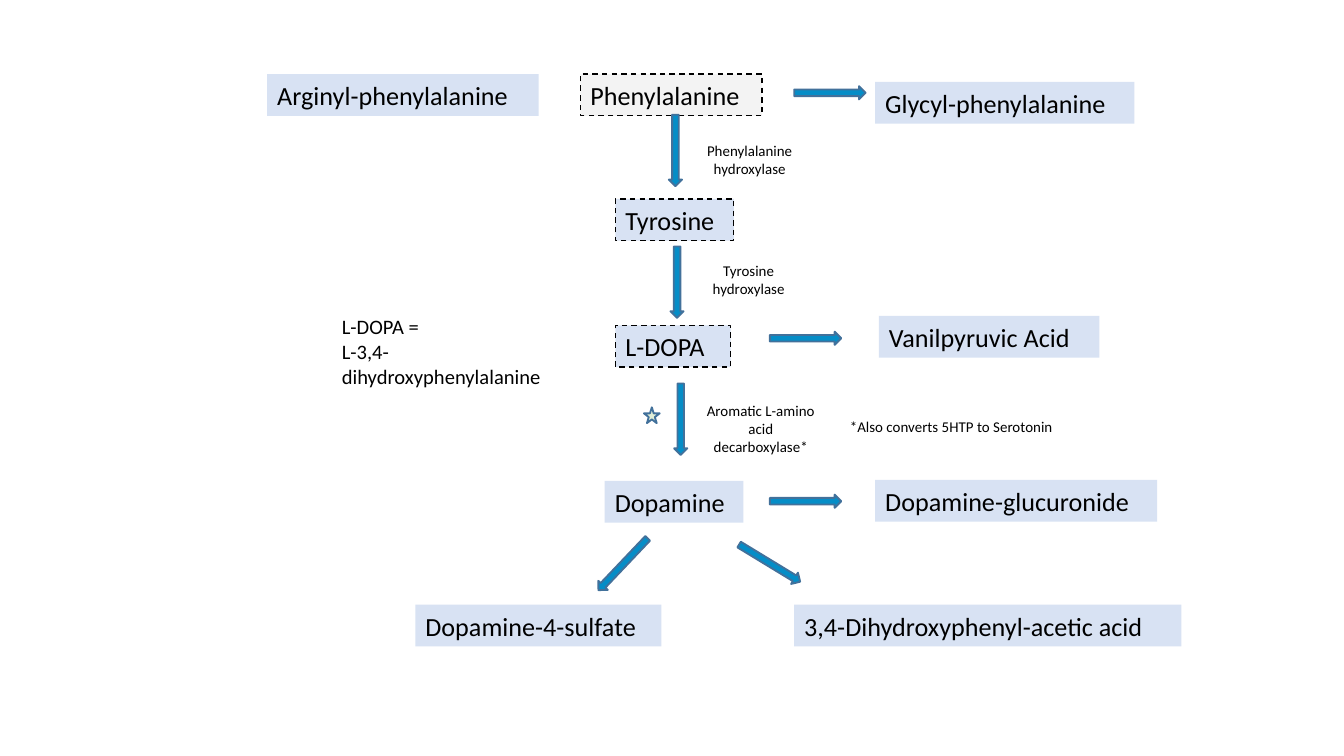
from pptx import Presentation
from pptx.dml.color import RGBColor
from pptx.enum.dml import MSO_LINE
from pptx.enum.shapes import MSO_SHAPE
from pptx.enum.text import MSO_ANCHOR, PP_ALIGN
from pptx.util import Cm, Pt

RECTANGLE = MSO_SHAPE.RECTANGLE
RIGHT_ARROW = MSO_SHAPE.RIGHT_ARROW
STAR = MSO_SHAPE.STAR_5_POINT
DASH = MSO_LINE.DASH
LEFT = PP_ALIGN.LEFT
CENTER = PP_ALIGN.CENTER
TOP = MSO_ANCHOR.TOP

BLACK = RGBColor(0x00, 0x00, 0x00)
PALE_GREY = RGBColor(0xF3, 0xF3, 0xF3)
PALE_BLUE = RGBColor(0xD8, 0xE2, 0xF3)
PALE_GREEN = RGBColor(0xE1, 0xEF, 0xD8)
ARROW_BLUE = RGBColor(0x05, 0x8D, 0xC7)
OUTLINE_BLUE = RGBColor(0x42, 0x71, 0x9B)

FONT = "Calibri"
METABOLITE_HEIGHT = 0.79
ARROW_LENGTH, ARROW_HEIGHT = 1.35, 0.25
STAR_SIZE = 0.3


def offset(box, left, top):
    """Return the point that lies at the given distance from the box's corner."""
    return box[0] + left, box[1] + top


def write(shape, lines, size, align):
    """Write the lines into a shape, one paragraph each."""
    frame = shape.text_frame
    frame.word_wrap = True
    frame.vertical_anchor = TOP
    frame.margin_left = frame.margin_right = Cm(0.19)
    frame.margin_top = frame.margin_bottom = Cm(0.1)
    for index, line in enumerate(lines):
        para = frame.add_paragraph() if index else frame.paragraphs[0]
        para.alignment = align
        span = para.add_run()
        span.text = line
        span.font.name = FONT
        span.font.size = Pt(size)
        span.font.color.rgb = BLACK


def add_filled(page, kind, point, width, height, fill):
    """Add a flat preset shape with a solid fill."""
    left, top = point
    shape = page.shapes.add_shape(kind, Cm(left), Cm(top), Cm(width), Cm(height))
    shape.shadow.inherit = False
    shape.fill.solid()
    shape.fill.fore_color.rgb = fill
    return shape


def add_outlined(page, kind, point, width, height, fill):
    """Add a filled shape with the thin blue outline."""
    shape = add_filled(page, kind, point, width, height, fill)
    shape.line.color.rgb = OUTLINE_BLUE
    shape.line.width = Pt(1)
    return shape


def add_metabolite(page, point, width, name, fill=PALE_BLUE, dashed=False):
    """Add the named box of one metabolite."""
    shape = add_filled(page, RECTANGLE, point, width, METABOLITE_HEIGHT, fill)
    if dashed:
        shape.line.color.rgb = BLACK
        shape.line.width = Pt(0.75)
        shape.line.dash_style = DASH
    else:
        shape.line.fill.background()
    write(shape, [name], 14, LEFT)


def add_arrow(page, point, rotation=0):
    """Add a reaction arrow, turned clockwise about its centre."""
    arrow = add_outlined(page, RIGHT_ARROW, point, ARROW_LENGTH, ARROW_HEIGHT, ARROW_BLUE)
    arrow.rotation = rotation


def add_label(page, point, width, height, lines, size=8, align=CENTER):
    """Add a plain text label."""
    left, top = point
    label = page.shapes.add_textbox(Cm(left), Cm(top), Cm(width), Cm(height))
    write(label, lines, size, align)


def add_pathway(page, box):
    """Add the central chain with its enzymes."""
    metabolites = [
        (0, 0, 3.43, "Phenylalanine", PALE_GREY, True),
        (0.66, 2.36, 2.24, "Tyrosine", PALE_BLUE, True),
        (0.66, 4.75, 2.18, "L-DOPA", PALE_BLUE, True),
        (0.46, 7.69, 2.62, "Dopamine", PALE_BLUE, False),
    ]
    for left, top, *details in metabolites:
        add_metabolite(page, offset(box, left, top), *details)
    for left, top in [(1.12, 1.32), (1.15, 3.81), (1.22, 6.4)]:
        add_arrow(page, offset(box, left, top), 90)
    add_outlined(page, STAR, offset(box, 1.2, 6.3), STAR_SIZE, STAR_SIZE, PALE_GREEN)
    enzymes = [
        (1.93, 1.17, 0.89, "Phenylalanine hydroxylase"),
        (1.91, 3.45, 0.89, "Tyrosine hydroxylase"),
        (2.14, 6.09, 1.22, "Aromatic L-amino acid decarboxylase*"),
    ]
    for left, top, height, name in enzymes:
        add_label(page, offset(box, left, top), 2.54, height, [name])


def add_branches(page, box):
    """Add the products to the right of the chain, each with its arrow."""
    branches = [
        ((0.46, 0.23), (1.99, 0.15), 4.9, "Glycyl-phenylalanine"),
        ((0, 4.87), (2.06, 4.57), 4.17, "Vanilpyruvic Acid"),
        ((0, 7.95), (1.99, 7.67), 5.33, "Dopamine-glucuronide"),
    ]
    for arrow, product, width, name in branches:
        add_arrow(page, offset(box, *arrow))
        add_metabolite(page, offset(box, *product), width, name)


def add_end_products(page, box):
    """Add the two products below dopamine, each with its slanted arrow."""
    products = [
        ((3.25, 0.02), 133.5, 0, 4.65, "Dopamine-4-sulfate"),
        ((6.02, 0), 31.3, 7.16, 7.32, "3,4-Dihydroxyphenyl-acetic acid"),
    ]
    for arrow, rotation, left, width, name in products:
        add_arrow(page, offset(box, *arrow), rotation)
        add_metabolite(page, offset(box, left, 0.91), width, name)


def add_side_items(page, box):
    """Add the unconnected metabolite, the abbreviation and the footnote."""
    add_metabolite(page, box, 5.13, "Arginyl-phenylalanine")
    add_label(page, offset(box, 1.22, 4.44), 4.95, 1.09,
              ["L-DOPA =", "L-3,4-dihydroxyphenylalanine"], 11, LEFT)
    add_label(page, offset(box, 9.96, 6.4), 5.94, 0.53,
              ["*Also converts 5HTP to Serotonin"])


def main():
    """Build the deck and save it."""
    deck = Presentation()
    deck.slide_width, deck.slide_height = Cm(25.4), Cm(14.29)
    page = deck.slides.add_slide(deck.slide_layouts[6])
    add_pathway(page, (10.97, 1.4))
    add_branches(page, (14.55, 1.4))
    add_end_products(page, (7.85, 10.52))
    add_side_items(page, (5.05, 1.4))
    deck.save("out.pptx")


if __name__ == "__main__":
    main()
